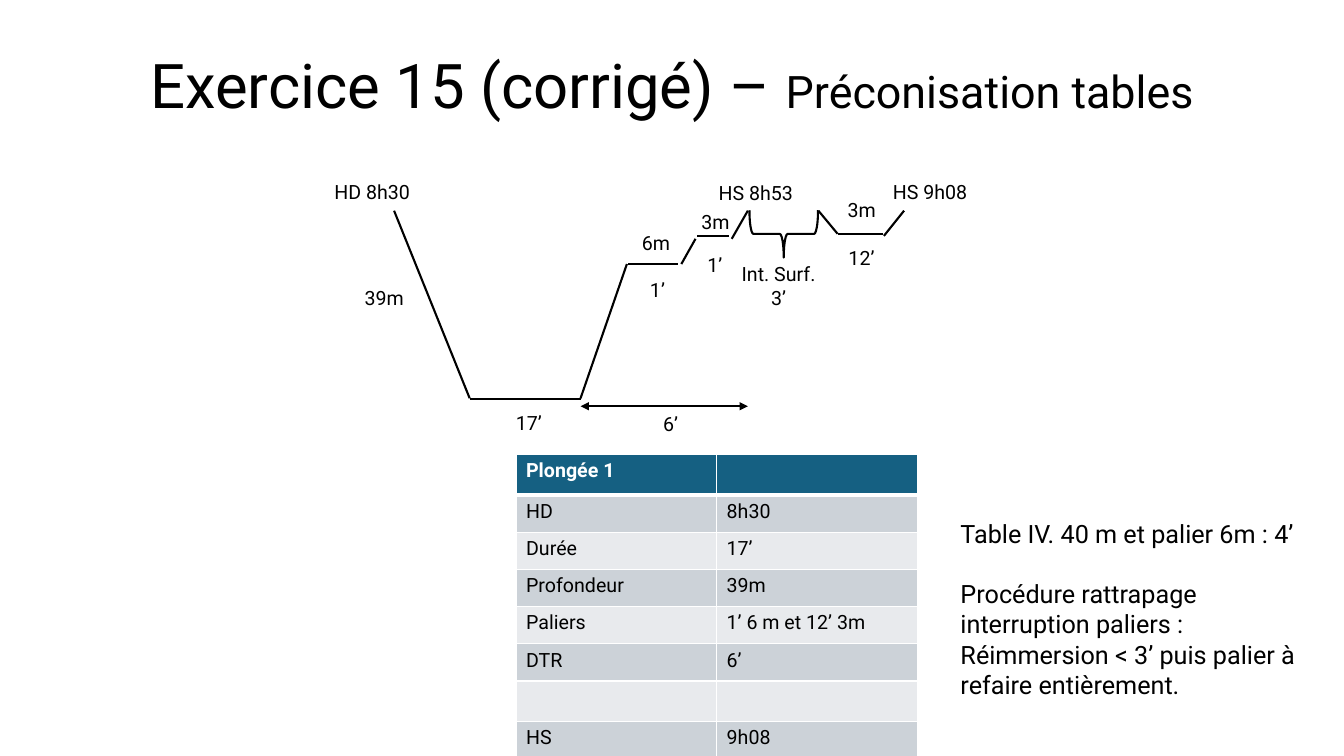
from lxml import etree
from pptx import Presentation
from pptx.dml.color import RGBColor
from pptx.enum import shapes, text as t
from pptx.oxml import ns
from pptx.util import Pt

COLORS = {"ink": "000000", "paper": "FFFFFF", "header": "156082",
          "odd": "CCD2D8", "even": "E8EAED"}
FONT = "Roboto"
LABEL_HEIGHT = 24.5
SURFACE = 150.5

# Segments of the dive profile: x1, y1, x2, y2
PROFILE = [
    (281.5, SURFACE, 335.5, 284.5),
    (335.5, 285, 414.7, 285),
    (414.7, 284.5, 447.8, 188.6),
    (448.6, 188.6, 484.6, 188.6),
    (486.7, 188.6, 496.8, 170.6),
    (498.2, 168.5, 520.6, 168.5),
    (522.7, 170.6, 534.2, SURFACE),
    (584.6, SURFACE, 598.3, 167),
    (598.3, 167, 630.7, 167),
    (631.4, 168.5, 645.8, SURFACE),
]

# Labels of the dive profile: text, left, top, width
LABELS = [
    ("HD 8h30", 231.8, 125.3, 77),
    ("39m", 253.4, 200.9, 54.7),
    ("17’", 361.4, 290.2, 69.8),
    ("1’", 457.2, 195.1, 27.4),
    ("1’", 498.2, 177.1, 28.8),
    ("6m", 451.4, 161.3, 42.5),
    ("3m", 493.9, 146.2, 50.4),
    ("12’", 599, 172.1, 49),
    ("3m", 598.3, 138.2, 40.3),
    ("HS 8h53", 506.2, 126, 108),
    ("HS 9h08", 630.7, 125.3, 76.3),
    ("6’", 466.6, 290.9, 57.6),
]

DIVE_ROWS = [
    ("Plongée 1", ""),
    ("HD", "8h30"),
    ("Durée", "17’"),
    ("Profondeur", "39m"),
    ("Paliers", "1’ 6 m et 12’ 3m"),
    ("DTR", "6’"),
    ("", ""),
    ("HS", "9h08"),
]


def rgb(name):
    return RGBColor.from_string(COLORS[name])


def add_span(para, text, size=14, color="ink", bold=False):
    span = para.add_run()
    span.text = text
    span.font.name = FONT
    span.font.size = Pt(size)
    span.font.bold = bold
    span.font.color.rgb = rgb(color)


def add_text(page, left, top, width, height, paragraphs, align=t.PP_ALIGN.LEFT,
             anchor=t.MSO_ANCHOR.TOP, line_spacing=None, gap=0):
    """Each paragraph is a list of (text, size) spans."""
    box = page.shapes.add_textbox(Pt(left), Pt(top), Pt(width), Pt(height))
    frame = box.text_frame
    frame.word_wrap = True
    frame.vertical_anchor = anchor
    for index, spans in enumerate(paragraphs):
        para = frame.add_paragraph() if index else frame.paragraphs[0]
        para.alignment = align
        para.line_spacing = line_spacing
        if index:
            para.space_before = Pt(gap)
        for text, size in spans:
            add_span(para, text, size=size)


def add_line(page, x1, y1, x2, y2, arrows=False):
    line = page.shapes.add_connector(
        shapes.MSO_CONNECTOR.STRAIGHT, Pt(x1), Pt(y1), Pt(x2), Pt(y2))
    line.line.color.rgb = rgb("ink")
    line.line.width = Pt(1.5)
    if arrows:
        for end in ("a:headEnd", "a:tailEnd"):
            etree.SubElement(line.line._get_or_add_ln(), ns.qn(end), type="triangle")
    etree.SubElement(line._element.spPr, ns.qn("a:effectLst"))


def add_brace(page, left, top, width, height):
    brace = page.shapes.add_shape(
        shapes.MSO_SHAPE.RIGHT_BRACE, Pt(left), Pt(top), Pt(width), Pt(height))
    brace.rotation = 90
    brace.shadow.inherit = False
    brace.fill.background()
    brace.line.color.rgb = rgb("ink")
    brace.line.width = Pt(1.5)


def set_borders(cell, top, bottom):
    props = cell._tc.get_or_add_tcPr()
    for side, width in (("L", 1), ("R", 1), ("T", top), ("B", bottom)):
        edge = etree.SubElement(props, ns.qn(f"a:ln{side}"), w=str(Pt(width)))
        fill = etree.SubElement(edge, ns.qn("a:solidFill"))
        etree.SubElement(fill, ns.qn("a:srgbClr"), val=COLORS["paper"])


def add_dive_table(page, left, top, col_width, header_height, row_height, rows):
    height = header_height + row_height * (len(rows) - 1)
    table = page.shapes.add_table(
        len(rows), 2, Pt(left), Pt(top), Pt(2 * col_width), Pt(height)).table
    for column in table.columns:
        column.width = Pt(col_width)
    for r, values in enumerate(rows):
        header = r == 0
        table.rows[r].height = Pt(header_height if header else row_height)
        for c, value in enumerate(values):
            cell = table.cell(r, c)
            add_span(cell.text_frame.paragraphs[0], value, bold=header,
                     color="paper" if header else "ink")
            # A thick rule separates the header from the body
            set_borders(cell, top=3 if r == 1 else 1, bottom=3 if header else 1)
            cell.fill.solid()
            cell.fill.fore_color.rgb = rgb(
                "header" if header else "odd" if r % 2 else "even")


def main():
    deck = Presentation()
    deck.slide_width, deck.slide_height = Pt(960), Pt(540)
    page = deck.slides.add_slide(deck.slide_layouts[6])

    # Title
    add_text(page, 66.2, 10.8, 828, 104.4,
             [[("Exercice 15 (corrigé) – ", 44), ("Préconisation tables", 32)]],
             align=t.PP_ALIGN.CENTER, anchor=t.MSO_ANCHOR.MIDDLE, line_spacing=0.9)

    # Dive profile
    for segment in PROFILE:
        add_line(page, *segment)
    add_brace(page, 542.9, 142.6, 33.8, 49)
    add_line(page, 414.7, 290.2, 534.2, 290.2, arrows=True)

    # Profile labels
    for text, left, top, width in LABELS:
        add_text(page, left, top, width, LABEL_HEIGHT, [[(text, 14)]])
    add_text(page, 521.3, 183.6, 69.8, 41, [[("Int. Surf. 3’", 14)]],
             align=t.PP_ALIGN.CENTER)

    # Dive summary and notes
    add_dive_table(page, 368.6, 324.7, 143.3, 21.6, 26.6, DIVE_ROWS)
    add_text(page, 679, 366.5, 261.4, 159.8, [
        [("Table IV. 40 m et palier 6m : 4’", 18)],
        [("Procédure rattrapage interruption paliers : "
          "Réimmersion < 3’ puis palier à refaire entièrement.", 18)],
    ], gap=21.5)

    deck.save("out.pptx")


if __name__ == "__main__":
    main()
